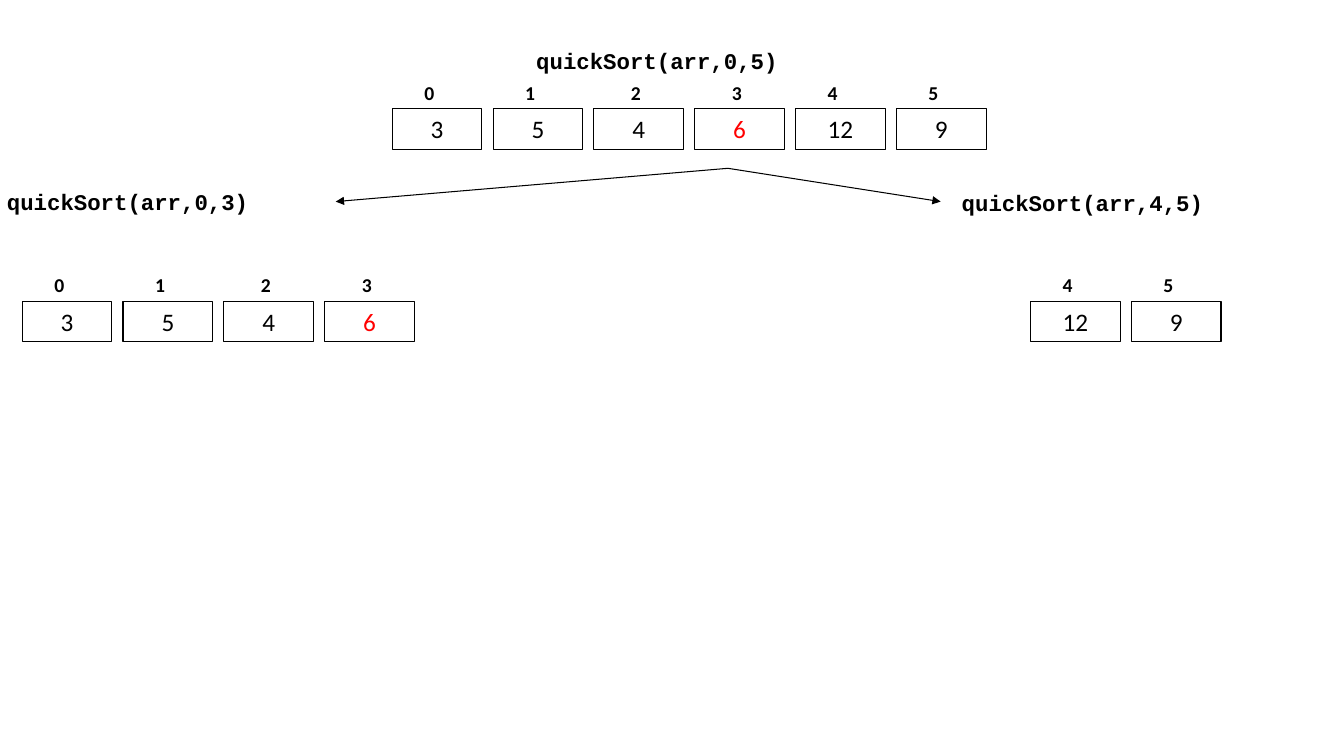
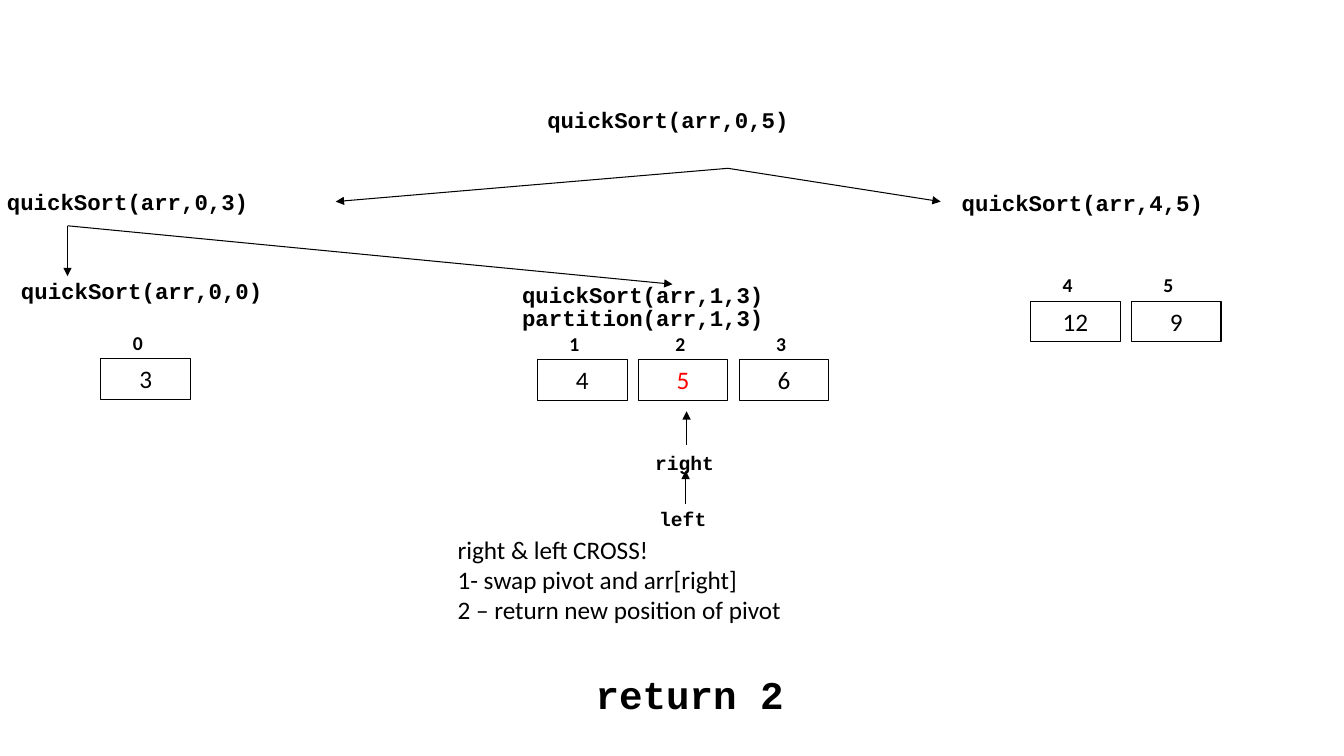
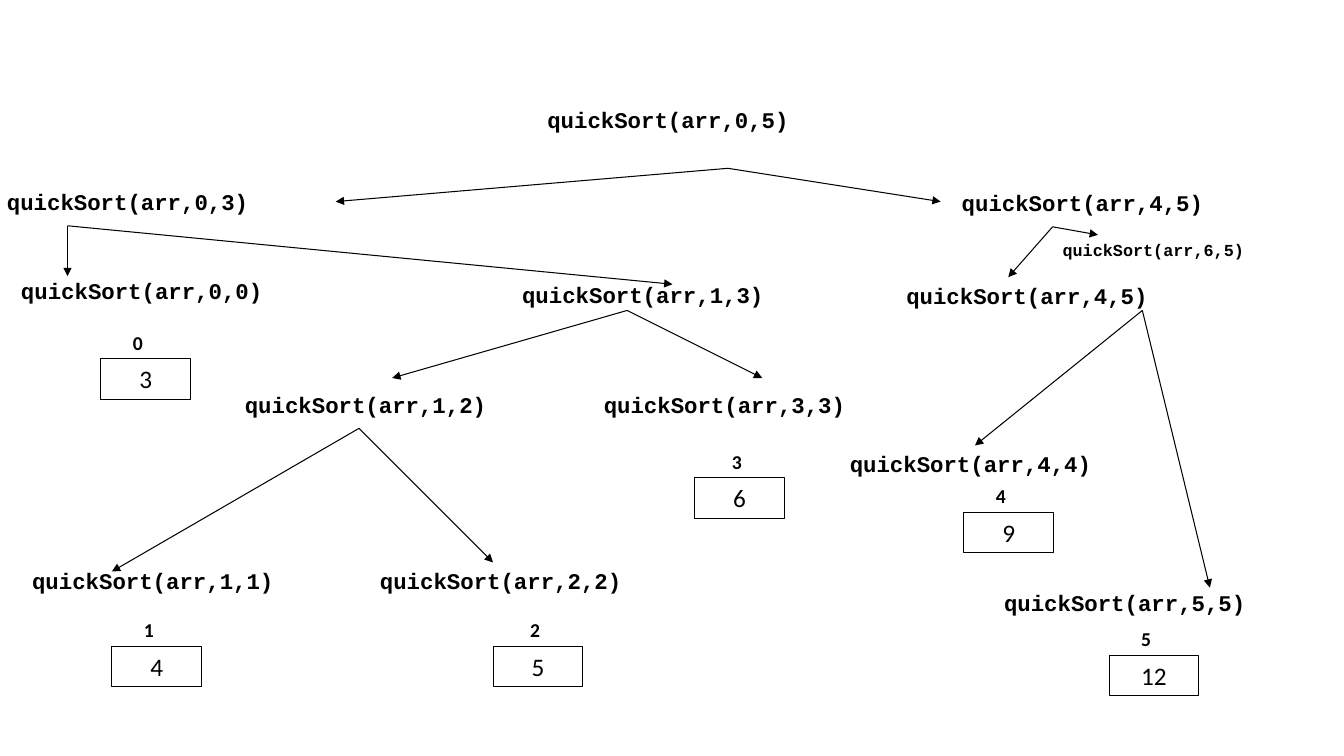
from lxml import etree
from pptx import Presentation
from pptx.dml.color import RGBColor
from pptx.enum import shapes, text
from pptx.oxml import ns
from pptx.util import Inches, Pt

INK = "000000"
PIVOT = "FF0000"
CELL_WIDTH, CELL_HEIGHT, CELL_STEP = 0.89, 0.4, 1
INDEX_RISE, INDEX_WIDTH = 0.33, 0.3
CODE = {"name": "Courier New", "size": Pt(16), "bold": True}
SMALL_CODE = {**CODE, "size": Pt(12)}
POINTER = {**CODE, "size": Pt(14)}
RESULT = {**CODE, "size": Pt(28)}
INDEX = {"name": "Calibri", "size": Pt(14), "bold": True}
VALUE = {"name": "Calibri", "size": Pt(18), "bold": False}
LABEL_FRAME = {"word_wrap": False, "auto_size": text.MSO_AUTO_SIZE.SHAPE_TO_FIT_TEXT}
CELL_FRAME = {"word_wrap": True, "vertical_anchor": text.MSO_ANCHOR.TOP}


def rgb(value):
    return RGBColor.from_string(value)


def apply(target, values):
    for name, value in values.items():
        setattr(target, name, value)


def write(frame, lines, font, frame_format, color=INK, align=text.PP_ALIGN.LEFT):
    apply(frame, frame_format)
    for number, line in enumerate(lines):
        paragraph = frame.add_paragraph() if number else frame.paragraphs[0]
        paragraph.alignment = align
        run = paragraph.add_run()
        run.text = line
        apply(run.font, font)
        run.font.color.rgb = rgb(color)


def add_label(slide, left, top, width, height, lines, font):
    label = slide.shapes.add_textbox(*map(Inches, (left, top, width, height)))
    write(label.text_frame, lines, font, LABEL_FRAME)


def add_code(slide, left, top, code, font=CODE):
    size = font["size"].pt
    width = len(code) * 0.6 * size / 72 + 0.22
    add_label(slide, left, top, width, size / 60 + 0.1, [code], font)


def add_call(slide, left, top, low, high, font=CODE):
    add_code(slide, left, top, f"quickSort(arr,{low},{high})", font)


def add_arrow(slide, start, end):
    arrow = slide.shapes.add_connector(
        shapes.MSO_CONNECTOR.STRAIGHT, *map(Inches, (*start, *end)))
    arrow.line.color.rgb = rgb(INK)
    arrow.line.width = Pt(0.75)
    properties = arrow.line._get_or_add_ln().getparent()
    etree.SubElement(arrow.line._get_or_add_ln(), ns.qn("a:tailEnd"), type="triangle")
    etree.SubElement(properties, ns.qn("a:effectLst"))


def add_branches(slide, start, *ends):
    for end in ends:
        add_arrow(slide, start, end)


def add_array(slide, left, top, first, values, pivot=None):
    for position, value in enumerate(values):
        index = first + position
        cell_left = left + position * CELL_STEP
        cell = slide.shapes.add_shape(
            shapes.MSO_SHAPE.RECTANGLE,
            *map(Inches, (cell_left, top, CELL_WIDTH, CELL_HEIGHT)))
        cell.shadow.inherit = False
        cell.fill.background()
        cell.line.color.rgb = rgb(INK)
        cell.line.width = Pt(0.75)
        write(cell.text_frame, [str(value)], VALUE, CELL_FRAME,
              PIVOT if index == pivot else INK, text.PP_ALIGN.CENTER)
        index_inset = 0.27 if index in (2, 3) else 0.22
        add_label(slide, cell_left + index_inset, top - INDEX_RISE,
                  INDEX_WIDTH, 0.34, [str(index)], INDEX)


def add_root(slide, left, top):
    add_call(slide, left, top, 0, 5)
    add_branches(slide, (7.22, 1.67), (3.33, 2), (9.33, 2))
    add_call(slide, -0.03, 1.82, 0, 3)
    add_call(slide, 9.44, 1.83, 4, 5)


def add_left_half(slide):
    add_branches(slide, (0.67, 2.24), (0.67, 2.74), (6.67, 2.82))
    add_call(slide, 0.11, 2.7, 0, 0)
    add_array(slide, 1, 3.56, 0, [3])
    add_call(slide, 5.08, 2.74, 1, 3)


def add_pointer(slide, left, top, name, tip):
    add_code(slide, left, top, name, POINTER)
    add_arrow(slide, (tip[0], tip[1] + 0.33), tip)


def add_partition(slide, left, top):
    add_code(slide, left, top, "partition(arr,1,3)")
    add_array(slide, left + 0.25, top + 0.6, 1, [4, 5, 6], pivot=2)
    add_pointer(slide, left + 1.36, top + 2.01, "left", (left + 1.72, top + 1.7))
    add_pointer(slide, left + 1.32, top + 1.45, "right", (left + 1.73, top + 1.11))
    add_label(slide, left - 0.64, top + 2.28, 3.45, 1.01,
              ["right & left CROSS!",
               "1- swap pivot and arr[right]",
               "2 – return new position of pivot"], VALUE)
    add_code(slide, left + 0.73, top + 3.63, "return 2", RESULT)


def add_middle_subtree(slide):
    add_branches(slide, (6.22, 3.08), (3.89, 3.75), (7.56, 3.75))
    add_call(slide, 2.33, 3.83, 1, 2)
    add_call(slide, 5.89, 3.83, 3, 3)
    add_array(slide, 6.89, 4.74, 3, [6])
    add_branches(slide, (3.56, 4.25), (1.11, 5.67), (4.89, 5.58))
    add_call(slide, 0.22, 5.58, 1, 1)
    add_array(slide, 1.11, 6.41, 1, [4])
    add_call(slide, 3.67, 5.58, 2, 2)
    add_array(slide, 4.89, 6.41, 2, [5])


def add_right_subtree(slide):
    add_branches(slide, (10.44, 2.25), (10, 2.75), (10.89, 2.33))
    add_call(slide, 10.44, 2.33, 6, 5, SMALL_CODE)
    add_call(slide, 8.89, 2.75, 4, 5)
    add_branches(slide, (11.33, 3.08), (9.67, 4.42), (12, 5.83))
    add_call(slide, 8.33, 4.42, 4, 4)
    add_array(slide, 9.56, 5.08, 4, [9])
    add_call(slide, 9.86, 5.8, 5, 5)
    add_array(slide, 11, 6.5, 5, [12])


def build_first_split(slide):
    add_root(slide, 5.22, 0.42)
    add_array(slide, 3.89, 1.08, 0, [3, 5, 4, 6, 12, 9], pivot=3)
    add_array(slide, 0.22, 2.99, 0, [3, 5, 4, 6], pivot=3)
    add_array(slide, 10.22, 2.99, 4, [12, 9])


def build_partition(slide):
    add_root(slide, 5.33, 1)
    add_array(slide, 10.22, 2.99, 4, [12, 9])
    add_left_half(slide)
    add_partition(slide, 5.08, 2.97)


def build_full_tree(slide):
    add_root(slide, 5.33, 1)
    add_left_half(slide)
    add_middle_subtree(slide)
    add_right_subtree(slide)


def main():
    deck = Presentation()
    deck.slide_width, deck.slide_height = Inches(13.33), Inches(7.5)
    blank = deck.slide_layouts.get_by_name("Blank")
    for build in (build_first_split, build_partition, build_full_tree):
        build(deck.slides.add_slide(blank))
    deck.save("out.pptx")


if __name__ == "__main__":
    main()
